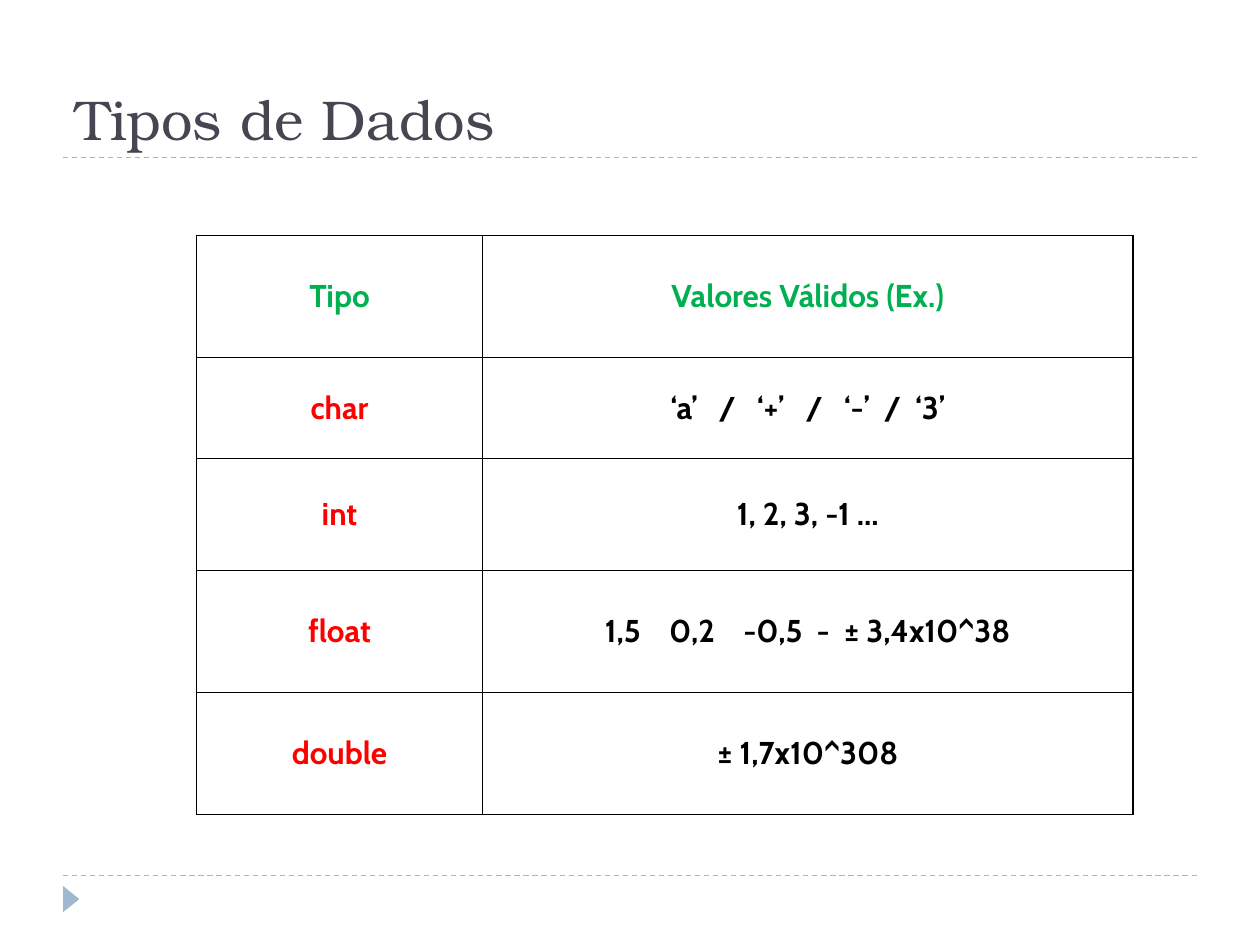
from lxml import etree
from pptx import Presentation
from pptx.dml.color import RGBColor
from pptx.enum.dml import MSO_LINE
from pptx.enum.shapes import MSO_CONNECTOR, MSO_SHAPE
from pptx.enum.text import MSO_ANCHOR, PP_ALIGN
from pptx.oxml.ns import qn
from pptx.util import Cm, Pt

STRAIGHT = MSO_CONNECTOR.STRAIGHT
TRIANGLE = MSO_SHAPE.ISOSCELES_TRIANGLE
DASH = MSO_LINE.DASH
CENTER, LEFT = PP_ALIGN.CENTER, PP_ALIGN.LEFT
MIDDLE, BOTTOM = MSO_ANCHOR.MIDDLE, MSO_ANCHOR.BOTTOM

TITLE = "Tipos de Dados"
HEADINGS = ("Tipo", "Valores Válidos (Ex.)")
DATA_TYPES = [
    ("char", "‘a’   /   ‘+’   /   ‘-’  /  ‘3’"),
    ("int", "1, 2, 3, -1 ..."),
    ("float", "1,5    0,2    -0,5  -  ± 3,4x10^38"),
    ("double", "± 1,7x10^308"),
]
HEADING_COLOR = "00B050"
COLUMN_COLORS = ("FF0000", "000000")
ACCENT = "9FB8CD"

SLIDE_WIDTH, SLIDE_HEIGHT, MARGIN = 25.4, 19.05, 1.27
RULE_HEIGHTS = (3.18, 17.65)
TABLE_LEFT, TABLE_TOP = 3.96, 4.75
COLUMN_WIDTHS = (5.77, 13.11)
ROW_HEIGHTS = (2.46, 2.03, 2.26, 2.46, 2.46)


def rgb(color):
    return RGBColor.from_string(color)


def write(frame, text, *, font, size, color, bold=False, align=LEFT):
    paragraph = frame.paragraphs[0]
    paragraph.alignment = align
    run = paragraph.add_run()
    run.text = text
    run.font.name = font
    run.font.size = Pt(size)
    run.font.bold = bold
    run.font.color.rgb = rgb(color)


def add_rule(slide, y):
    """Draw a dashed line from margin to margin."""
    rule = slide.shapes.add_connector(
        STRAIGHT, Cm(MARGIN), Cm(y), Cm(SLIDE_WIDTH - MARGIN), Cm(y))
    rule.line.color.rgb = rgb(ACCENT)
    rule.line.width = Pt(0.75)
    rule.line.dash_style = DASH
    etree.SubElement(rule.element.spPr, qn("a:effectLst"))


def add_page_marker(slide):
    marker = slide.shapes.add_shape(TRIANGLE, Cm(1.17), Cm(17.96), Cm(0.53), Cm(0.33))
    marker.rotation = 90
    marker.shadow.inherit = False
    marker.fill.solid()
    marker.fill.fore_color.rgb = rgb(ACCENT)
    marker.line.fill.background()


def add_title(slide):
    title = slide.shapes.add_textbox(
        Cm(MARGIN), Cm(0.43), Cm(SLIDE_WIDTH - 2 * MARGIN), Cm(2.75))
    title.text_frame.word_wrap = True
    title.text_frame.vertical_anchor = BOTTOM
    write(title.text_frame, TITLE, font="TeX Gyre Bonum", size=32, color="464653")


def set_borders(cell, color="000000", width=1):
    properties = cell._tc.get_or_add_tcPr()
    for position, side in enumerate(("a:lnL", "a:lnR", "a:lnT", "a:lnB")):
        border = etree.Element(qn(side), w=str(Pt(width)))
        fill = etree.SubElement(border, qn("a:solidFill"))
        etree.SubElement(fill, qn("a:srgbClr"), val=color)
        properties.insert(position, border)


def add_type_table(slide):
    rows = [HEADINGS, *DATA_TYPES]
    table = slide.shapes.add_table(
        len(rows), len(HEADINGS), Cm(TABLE_LEFT), Cm(TABLE_TOP),
        Cm(sum(COLUMN_WIDTHS)), Cm(sum(ROW_HEIGHTS))).table
    table.horz_banding = False
    for column, width in zip(table.columns, COLUMN_WIDTHS):
        column.width = Cm(width)
    for row, height in zip(table.rows, ROW_HEIGHTS):
        row.height = Cm(height)
    for r, texts in enumerate(rows):
        for c, text in enumerate(texts):
            cell = table.cell(r, c)
            cell.fill.background()
            cell.vertical_anchor = MIDDLE
            set_borders(cell)
            write(cell.text_frame, text, font="Cabin", size=18, bold=True, align=CENTER,
                  color=COLUMN_COLORS[c] if r else HEADING_COLOR)


def main():
    deck = Presentation()
    deck.slide_width, deck.slide_height = Cm(SLIDE_WIDTH), Cm(SLIDE_HEIGHT)
    slide = deck.slides.add_slide(deck.slide_layouts[6])
    for y in RULE_HEIGHTS:
        add_rule(slide, y)
    add_page_marker(slide)
    add_title(slide)
    add_type_table(slide)
    deck.save("out.pptx")


if __name__ == "__main__":
    main()
